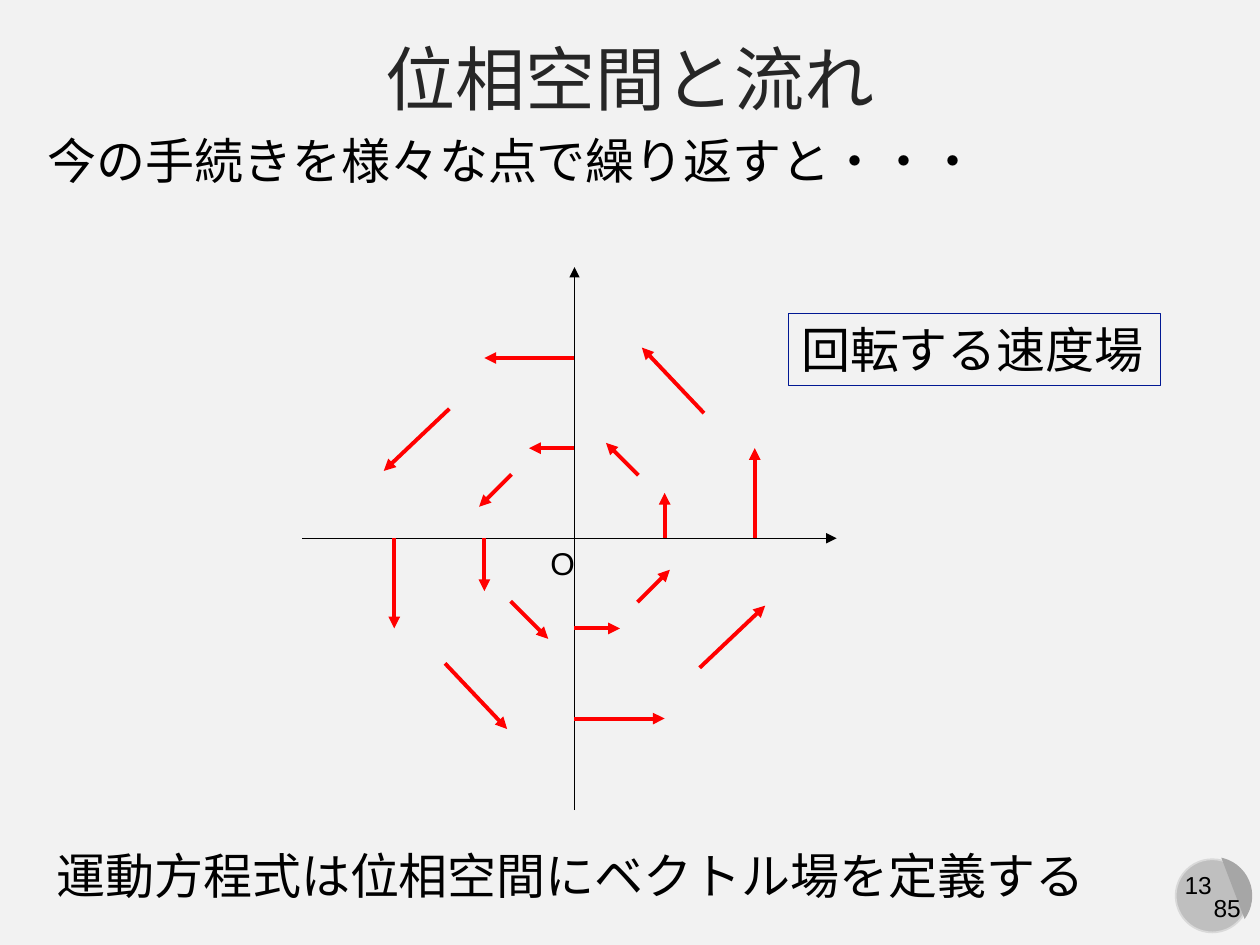
from dataclasses import dataclass

from pptx import Presentation
from pptx.dml.color import RGBColor
from pptx.enum.shapes import MSO_CONNECTOR, MSO_SHAPE
from pptx.enum.text import MSO_ANCHOR, PP_ALIGN
from pptx.oxml.ns import qn
from pptx.util import Pt
from lxml.etree import SubElement

BACKGROUND = RGBColor(0xF2, 0xF2, 0xF2)
BLACK = RGBColor(0, 0, 0)
TITLE_GRAY = RGBColor(0x26, 0x26, 0x26)
RED = RGBColor(0xFF, 0, 0)
NAVY = RGBColor(0x01, 0x18, 0x93)
BADGE = RGBColor(0xBF, 0xBF, 0xBF)
BADGE_EDGE = RGBColor(0xD9, 0xD9, 0xD9)
BADGE_SHADE = RGBColor(0xA6, 0xA6, 0xA6)
FONT = "Arial"
ORIGIN = (328.3, 307.6)


@dataclass
class Label:
    text: str
    left: float
    top: float
    width: float
    height: float
    size: float
    align: PP_ALIGN = PP_ALIGN.LEFT
    border: RGBColor | None = None


@dataclass
class Velocity:
    """A vector drawn at (x, y) from the origin and at its three quarter turns."""
    x: float
    y: float
    dx: float
    dy: float
    half_turn_stretch: float = 1


PAGE_LABELS = [
    Label("13", 668.9, 493.9, 31.7, 24.5, 14, PP_ALIGN.CENTER),
    Label("85", 686.2, 506.9, 30.2, 24.5, 14, PP_ALIGN.CENTER),
]
LABELS = [
    Label("O", 307.4, 307.4, 28.1, 26.6, 18),
    Label("今の手続きを様々な点で繰り返すと・・・", 20.2, 71.3, 551.5, 41, 28),
    Label("運動方程式は位相空間にベクトル場を定義する", 25.2, 479.5, 608.4, 41, 28),
    Label("回転する速度場", 450.7, 179.3, 212.4, 41, 28, border=NAVY),
]
VELOCITIES = [
    Velocity(103, 0, 0, -51.5),
    Velocity(51.5, 0, 0, -26, 1.16),
    Velocity(36.5, -36, -18.5, -18.5, 1.16),
    Velocity(74, -71.5, -35.5, -37.5),
]


def add_label(s, label: Label) -> None:
    box = s.shapes.add_textbox(Pt(label.left), Pt(label.top), Pt(label.width), Pt(label.height))
    if label.border is not None:
        box.line.color.rgb = label.border
        box.line.width = Pt(0.75)
    tf = box.text_frame
    tf.word_wrap = False
    p = tf.paragraphs[0]
    p.text = label.text
    p.alignment = label.align
    p.font.name = FONT
    p.font.size = Pt(label.size)
    p.font.color.rgb = BLACK


def add_arrow(s, x1: float, y1: float, x2: float, y2: float, color: RGBColor, width: float) -> None:
    """Draw an arrow between two points given relative to the origin."""
    ox, oy = ORIGIN
    line = s.shapes.add_connector(
        MSO_CONNECTOR.STRAIGHT, Pt(ox + x1), Pt(oy + y1), Pt(ox + x2), Pt(oy + y2))
    line.line.color.rgb = color
    line.line.width = Pt(width)
    SubElement(line.line._get_or_add_ln(), qn("a:tailEnd"), type="triangle")
    SubElement(line._element.spPr, qn("a:effectLst"))


def add_velocities(s, v: Velocity) -> None:
    x, y, dx, dy = v.x, v.y, v.dx, v.dy
    for quarter in range(4):
        stretch = v.half_turn_stretch if quarter == 2 else 1
        add_arrow(s, x, y, x + dx * stretch, y + dy * stretch, RED, 2.25)
        x, y, dx, dy = y, -x, dy, -dx


def add_disc(s, kind: MSO_SHAPE, left: float, top: float, size: float, fill: RGBColor):
    disc = s.shapes.add_shape(kind, Pt(left), Pt(top), Pt(size), Pt(size))
    disc.shadow.inherit = False
    disc.fill.solid()
    disc.fill.fore_color.rgb = fill
    disc.line.fill.background()
    return disc


def add_page_badge(s) -> None:
    disc = add_disc(s, MSO_SHAPE.OVAL, 671.8, 491, 41.8, BADGE)
    disc.line.color.rgb = BADGE_EDGE
    disc.line.width = Pt(1)
    shade = add_disc(s, MSO_SHAPE.CHORD, 671, 489.6, 44.6, BADGE_SHADE)
    shade.rotation = 255
    shade.adjustments[0] = 16.2
    shade.adjustments[1] = 84.85
    for label in PAGE_LABELS:
        add_label(s, label)


def set_title(s, text: str) -> None:
    title = s.shapes.title
    title.left, title.top, title.width, title.height = Pt(0), Pt(15), Pt(720), Pt(59)
    tf = title.text_frame
    tf.vertical_anchor = MSO_ANCHOR.MIDDLE
    p = tf.paragraphs[0]
    p.text = text
    p.alignment = PP_ALIGN.CENTER
    p.font.name = FONT
    p.font.size = Pt(40)
    p.font.color.rgb = TITLE_GRAY


def main() -> None:
    prs = Presentation()
    prs.slide_width, prs.slide_height = Pt(720), Pt(540)
    s = prs.slides.add_slide(prs.slide_layouts[5])
    s.background.fill.solid()
    s.background.fill.fore_color.rgb = BACKGROUND

    add_page_badge(s)
    set_title(s, "位相空間と流れ")
    add_arrow(s, -155.5, 0, 149.8, 0, BLACK, 0.5)
    add_arrow(s, 0, 155.4, 0, -155, BLACK, 0.5)
    for velocity in VELOCITIES:
        add_velocities(s, velocity)
    for label in LABELS:
        add_label(s, label)

    prs.save("out.pptx")


if __name__ == "__main__":
    main()
